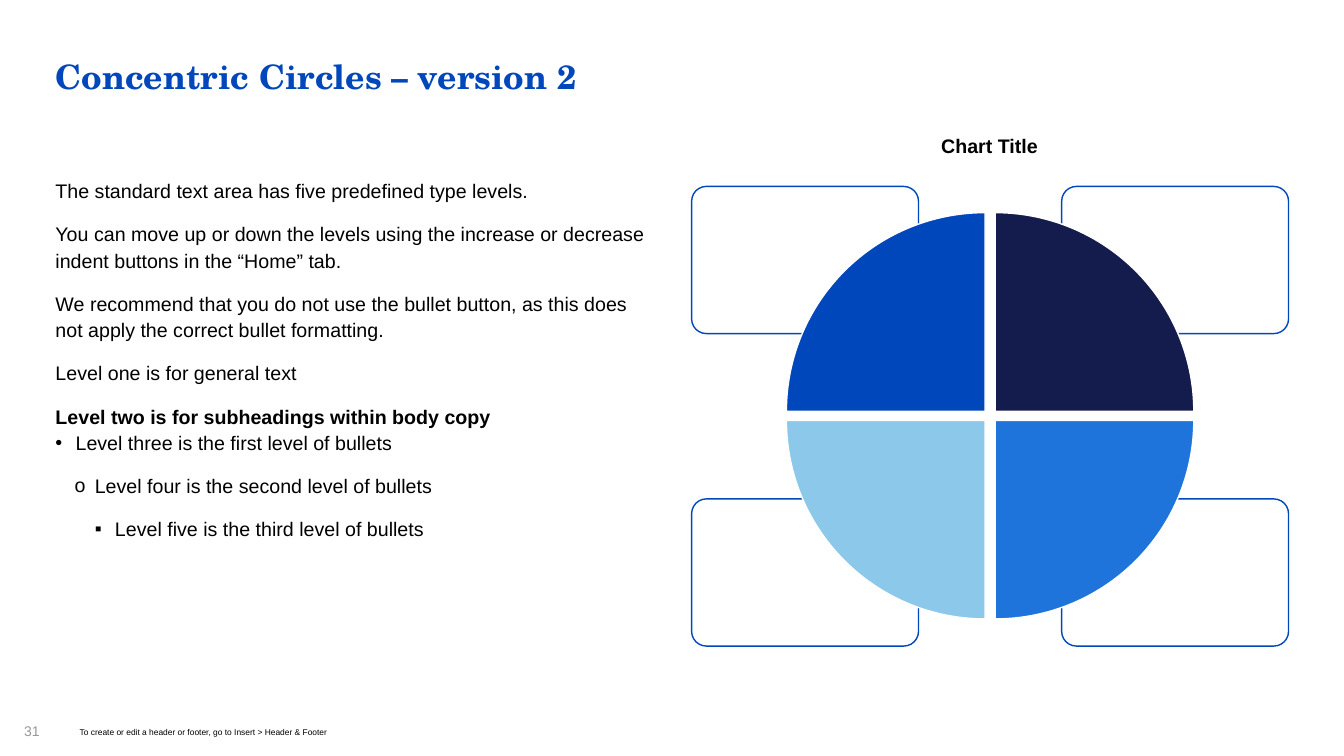
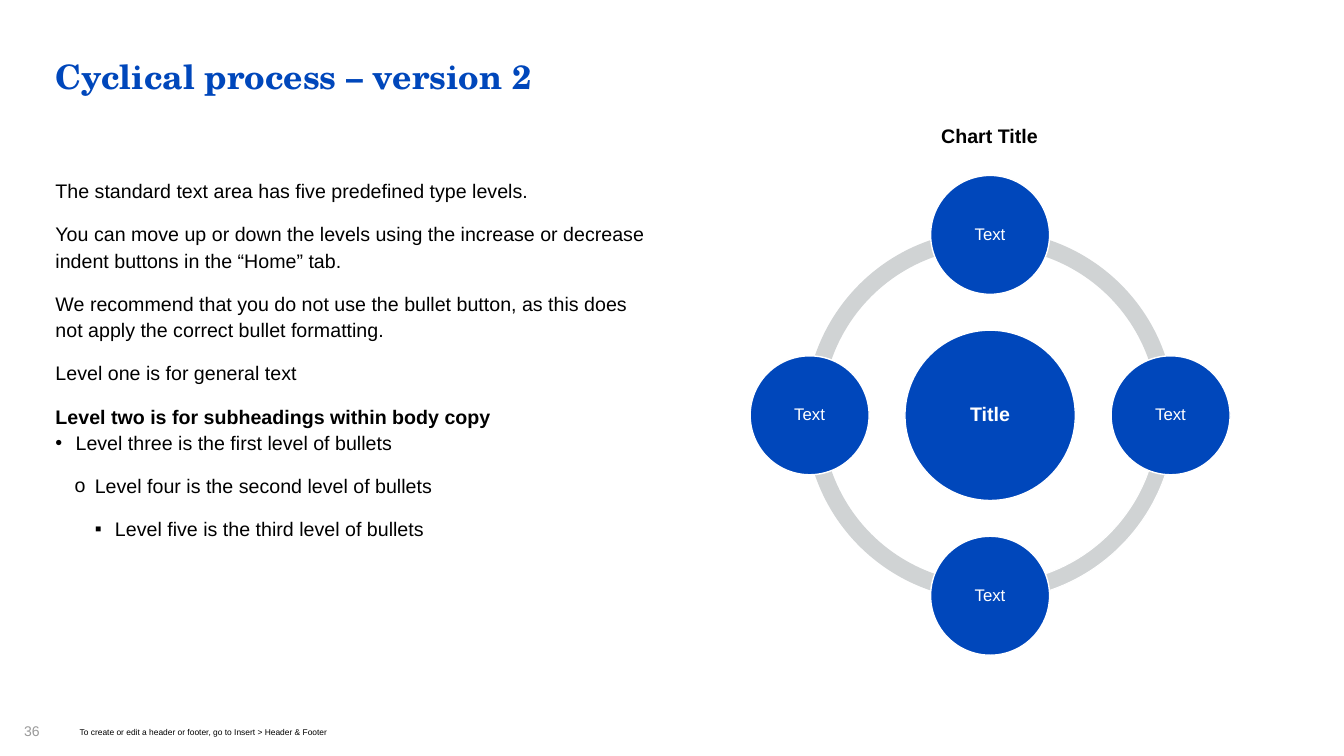
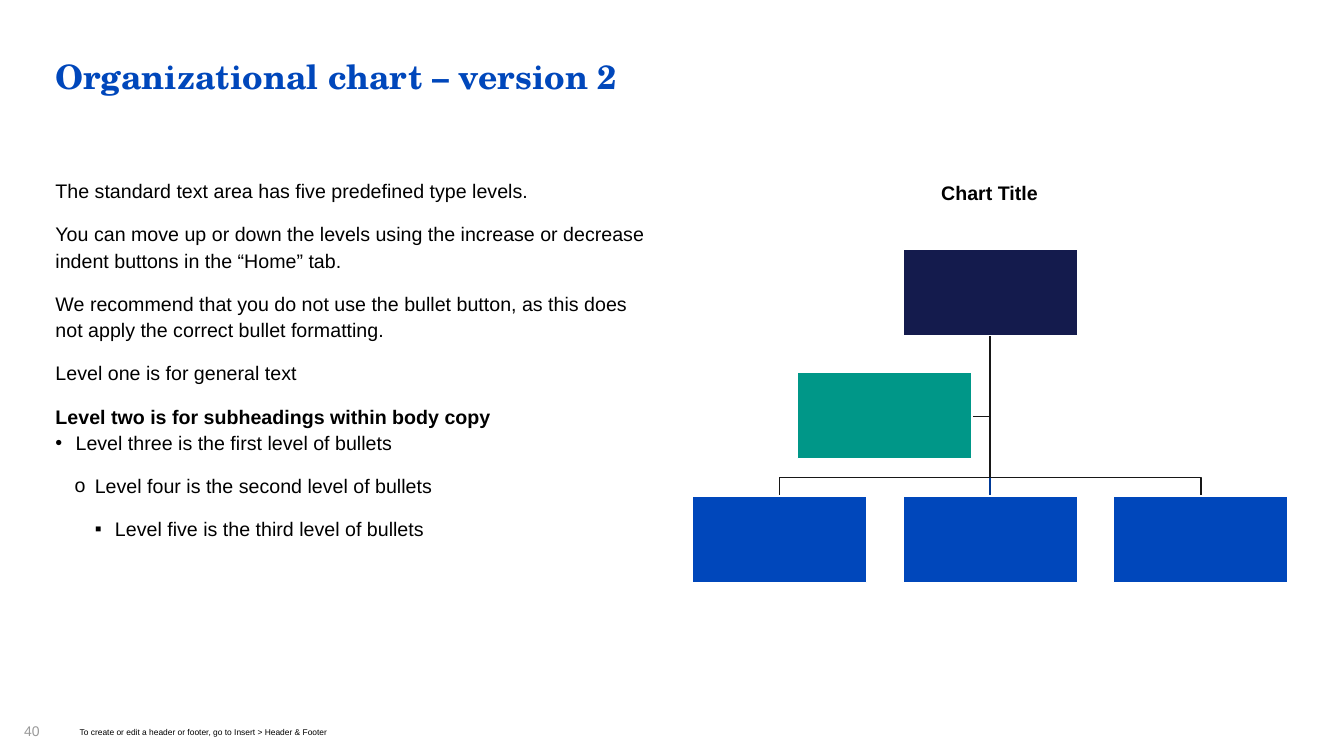
"""Build three diagram slides: quartered circle, cycle and organizational chart."""
from itertools import product

from lxml.etree import SubElement
from pptx import Presentation
from pptx.dml.color import RGBColor
from pptx.enum.shapes import MSO_SHAPE
from pptx.enum.text import MSO_ANCHOR, MSO_AUTO_SIZE, PP_ALIGN
from pptx.oxml.ns import qn
from pptx.util import Inches, Pt

COLORS = {
    "blue": "0047BB", "navy": "141B4D", "mid_blue": "1F74DB", "sky": "8CC8E9",
    "dark_blue": "003996", "teal": "009788", "silver": "D0D3D4", "gray": "999999",
    "ink": "171717", "black": "000000", "white": "FFFFFF",
}
BODY = [
    ("The standard text area has five predefined type levels.", {}),
    ("You can move up or down the levels using the increase or decrease indent buttons "
     "in the “Home” tab.", {}),
    ("We recommend that you do not use the bullet button, as this does not apply the "
     "correct bullet formatting.", {}),
    ("Level one is for general text", {}),
    ("Level two is for subheadings within body copy", {"bold": True, "after": 0}),
    ("Level three is the first level of bullets", {"bullet": "•", "indent": 0.2}),
    ("Level four is the second level of bullets", {"bullet": "o", "indent": 0.39}),
    ("Level five is the third level of bullets", {"bullet": "▪", "indent": 0.59}),
]
FOOTER = "To create or edit a header or footer, go to Insert > Header & Footer"
CENTER_X, CENTER_Y = 9.82, 4.12


def write(shape, text, size=14, color="black", bold=False, font="Arial", align=PP_ALIGN.LEFT,
          anchor=MSO_ANCHOR.TOP, spacing=0.9, after=0, inset=0, wrap=True, bullet=None, indent=0):
    """Add one formatted paragraph to a shape, filling its empty first one."""
    frame = shape.text_frame
    frame.word_wrap, frame.vertical_anchor = wrap, anchor
    frame.auto_size = MSO_AUTO_SIZE.NONE
    frame.margin_left = frame.margin_right = Inches(inset)
    frame.margin_top = frame.margin_bottom = Inches(inset)
    paragraph = frame.add_paragraph() if frame.text else frame.paragraphs[0]
    paragraph.alignment, paragraph.line_spacing = align, spacing
    paragraph.space_after = Pt(after)
    if bullet:
        properties = paragraph._p.get_or_add_pPr()
        properties.set("marL", str(Inches(indent)))
        properties.set("indent", str(Inches(-0.2)))
        SubElement(properties, qn("a:buFont"), typeface="Arial")
        SubElement(properties, qn("a:buChar"), char=bullet)
    run = paragraph.add_run()
    run.text = text
    run.font.size, run.font.bold, run.font.name = Pt(size), bold, font
    run.font.color.rgb = RGBColor.from_string(COLORS[color])


def draw(slide, kind, at, fill, line="white", width=1):
    """Add a flat preset shape; line may be None."""
    shape = slide.shapes.add_shape(kind, *map(Inches, at))
    shape.shadow.inherit = False
    shape.fill.solid()
    shape.fill.fore_color.rgb = RGBColor.from_string(COLORS[fill])
    if line:
        shape.line.color.rgb = RGBColor.from_string(COLORS[line])
        shape.line.width = Pt(width)
    else:
        shape.line.fill.background()
    return shape


deck = Presentation()
deck.slide_width, deck.slide_height = Inches(13.33), Inches(7.5)

slides = []
for heading, number, chart_title_top in [
    ("Concentric Circles – version 2", "31", 1.28),
    ("Cyclical process – version 2", "36", 1.18),
    ("Organizational chart – version 2", "40", 1.75),
]:
    slide = deck.slides.add_slide(deck.slide_layouts[5])
    title = slide.shapes.title
    title.left, title.top = Inches(0.55), Inches(0.6)
    title.width, title.height = Inches(12.23), Inches(1.02)
    write(title, heading, size=24, color="blue", bold=True, font="TeX Gyre Schola")

    body, chart_title, page, footer = [
        slide.shapes.add_textbox(*map(Inches, at)) for at in [
            (0.55, 1.75, 5.92, 4.76), (9.23, chart_title_top, 1.17, 0.34),
            (0.24, 7.19, 0.26, 0.31), (0.79, 7.22, 4.82, 0.28)]]
    for text, style in BODY:
        write(body, text, **{"spacing": 1.12, "after": 12, **style})
    write(chart_title, "Chart Title", bold=True, align=PP_ALIGN.CENTER, spacing=1.0,
          inset=0.05, wrap=False)
    write(page, number, size=10, color="gray")
    write(footer, FOOTER, size=6)
    slides.append(slide)

circles, cycle, organization = slides

for left, top in product((6.86, 10.53), (1.85, 4.95)):
    callout = draw(circles, MSO_SHAPE.ROUNDED_RECTANGLE, (left, top, 2.25, 1.46), "white", "blue")
    callout.adjustments[0] = 0.1

wedge = 1.97
for turn, (left, top, color) in enumerate([
    (7.8, 2.11, "blue"), (9.87, 2.11, "navy"), (9.87, 4.17, "mid_blue"), (7.8, 4.17, "sky"),
]):
    quarter = draw(circles, MSO_SHAPE.PIE_WEDGE, (left, top, wedge, wedge), color)
    quarter.rotation = 90 * turn

ring = 3.67
for start, edge in [(108, None), (54, None), (0, "white"), (162, None)]:
    arc = draw(cycle, MSO_SHAPE.BLOCK_ARC,
               (CENTER_X - ring / 2, CENTER_Y - ring / 2, ring, ring), "silver", edge, 0.75)
    for index, value in enumerate((start, (start + 54) % 216, 0.046)):
        arc.adjustments[index] = value

orbit = 1.79
for label, across, down, diameter, size in [
    ("Title", 0, 0, 1.69, 14), ("Text", 0, -1, 1.18, 12), ("Text", 1, 0, 1.18, 12),
    ("Text", 0, 1, 1.18, 12), ("Text", -1, 0, 1.18, 12),
]:
    left = CENTER_X + across * orbit - diameter / 2
    top = CENTER_Y + down * orbit - diameter / 2
    node = draw(cycle, MSO_SHAPE.OVAL, (left, top, diameter, diameter), "blue")
    write(node, label, size=size, color="white", bold=label == "Title", inset=0.02,
          align=PP_ALIGN.CENTER, anchor=MSO_ANCHOR.MIDDLE)

box_width, box_height, column_step = 1.73, 0.86, 2.09
lead_top, assistant_top, team_top, branch_y = 2.47, 3.69, 4.92, 4.74
lead_bottom = lead_top + box_height
first_x, last_x = CENTER_X - column_step, CENTER_X + column_step
assistant_x = CENTER_X - column_step / 2
assistant_edge = assistant_x + box_width / 2
assistant_y = 4.13
for color, bends in [
    ("ink", [(CENTER_X, assistant_y), (assistant_edge, assistant_y)]),
    ("ink", [(CENTER_X, branch_y), (last_x, branch_y), (last_x, team_top)]),
    ("dark_blue", [(CENTER_X, team_top)]),
    ("ink", [(CENTER_X, branch_y), (first_x, branch_y), (first_x, team_top)]),
]:
    builder = organization.shapes.build_freeform(Inches(CENTER_X), Inches(lead_bottom))
    builder.add_line_segments([(Inches(x), Inches(y)) for x, y in bends], close=False)
    branch = builder.convert_to_shape()
    branch.shadow.inherit = False
    branch.fill.background()
    branch.line.color.rgb = RGBColor.from_string(COLORS[color])
    branch.line.width = Pt(1)

for middle, top, color in [
    (CENTER_X, lead_top, "navy"), (first_x, team_top, "blue"), (CENTER_X, team_top, "blue"),
    (last_x, team_top, "blue"), (assistant_x, assistant_top, "teal"),
]:
    draw(organization, MSO_SHAPE.RECTANGLE,
         (middle - box_width / 2, top, box_width, box_height), color)

deck.save("out.pptx")
